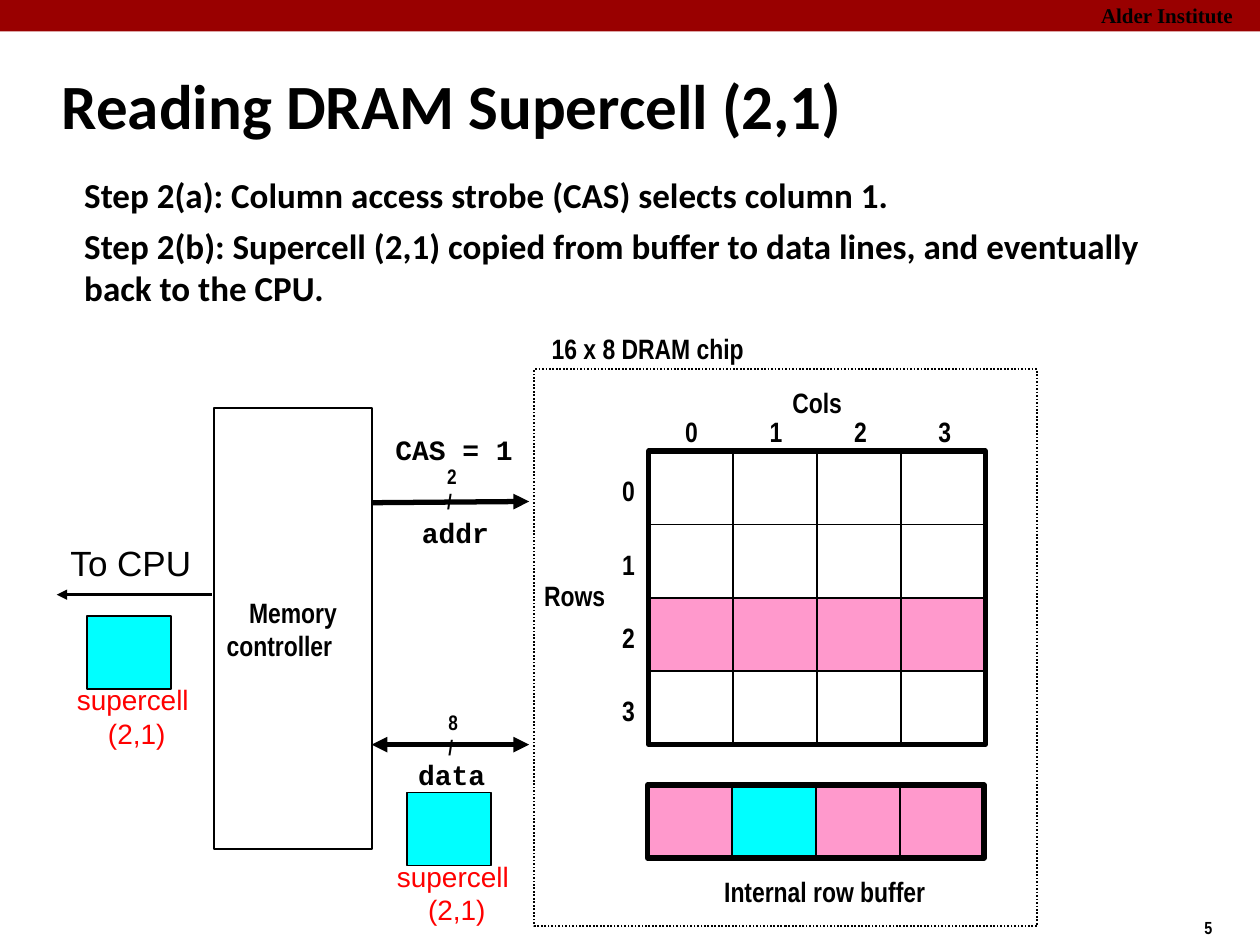
from dataclasses import dataclass, field
from typing import Optional

from lxml.etree import SubElement
from pptx import Presentation
from pptx.dml.color import RGBColor
from pptx.enum.dml import MSO_LINE
from pptx.enum.shapes import MSO_CONNECTOR, MSO_SHAPE
from pptx.enum.text import MSO_ANCHOR, MSO_AUTO_SIZE, PP_ALIGN
from pptx.oxml.ns import qn
from pptx.util import Inches, Pt


@dataclass(frozen=True)
class Style:
    font: str
    size: float
    bold: bool = True
    color: str = "000000"


@dataclass(frozen=True)
class Theme:
    ink: str = "000000"
    paper: str = "FFFFFF"
    banner: str = "990000"
    row: str = "FF99CC"
    cell: str = "00FFFF"
    thin: float = 1
    medium: float = 1.5
    thick: float = 3
    title: Style = Style("Calibri", 36)
    steps: Style = Style("Calibri", 20)
    label: Style = Style("Arial Narrow", 16)
    bits: Style = Style("Arial Narrow", 12)
    page: Style = Style("Arial Narrow", 10)
    signal: Style = Style("Courier New", 16)
    school: Style = Style("Times New Roman", 12)
    caption: Style = Style("Arial", 16, False, "FF0000")
    target: Style = Style("Arial", 20, False)


THEME = Theme()


@dataclass(frozen=True)
class Area:
    left: float
    top: float
    width: float
    height: float

    def lengths(self) -> list:
        return [Inches(v) for v in (self.left, self.top, self.width, self.height)]


@dataclass(frozen=True)
class Label:
    lines: tuple
    area: Area
    style: Style = field(default=THEME.label)
    align: PP_ALIGN = PP_ALIGN.LEFT
    inset: float = 0.1
    anchor: MSO_ANCHOR = MSO_ANCHOR.MIDDLE
    wrap: bool = False
    grow: bool = True
    before: float = 0


@dataclass(frozen=True)
class Arrow:
    start: tuple
    end: tuple
    weight: float
    ends: tuple = ("tailEnd",)


def apply(target, values: dict) -> None:
    for name, value in values.items():
        setattr(target, name, value)


def write(frame, label: Label) -> None:
    fit = MSO_AUTO_SIZE.SHAPE_TO_FIT_TEXT if label.grow else MSO_AUTO_SIZE.NONE
    apply(frame, {
        "word_wrap": label.wrap, "auto_size": fit, "vertical_anchor": label.anchor,
        "margin_left": Inches(label.inset), "margin_right": Inches(label.inset),
        "margin_top": Inches(0.05), "margin_bottom": Inches(0.05),
    })
    for index, line in enumerate(label.lines):
        paragraph = frame.add_paragraph() if index else frame.paragraphs[0]
        apply(paragraph, {"alignment": label.align, "space_before": Pt(label.before)})
        run = paragraph.add_run()
        run.text = line
        style = label.style
        apply(run.font, {"name": style.font, "size": Pt(style.size), "bold": style.bold})
        run.font.color.rgb = RGBColor.from_string(style.color)


def add_label(slide, label: Label) -> None:
    write(slide.shapes.add_textbox(*label.area.lengths()).text_frame, label)


def add_box(slide, area: Area, fill: Optional[str] = None, weight: float = THEME.thin):
    box = slide.shapes.add_shape(MSO_SHAPE.RECTANGLE, *area.lengths())
    box.shadow.inherit = False
    if fill:
        box.fill.solid()
        box.fill.fore_color.rgb = RGBColor.from_string(fill)
    else:
        box.fill.background()
    if weight:
        box.line.color.rgb = RGBColor.from_string(THEME.ink)
        box.line.width = Pt(weight)
    else:
        box.line.fill.background()
    return box


def add_cells(slide, area: Area, fills: list) -> None:
    """Draw a framed grid with one cell per colour."""
    width, height = area.width / len(fills[0]), area.height / len(fills)
    for row, colors in enumerate(fills):
        for col, color in enumerate(colors):
            corner = (area.left + col * width, area.top + row * height)
            add_box(slide, Area(*corner, width, height), color)
    add_box(slide, area, weight=THEME.thick)


def add_arrow(slide, arrow: Arrow) -> None:
    points = [Inches(v) for v in (*arrow.start, *arrow.end)]
    line = slide.shapes.add_connector(MSO_CONNECTOR.STRAIGHT, *points)
    line.line.color.rgb = RGBColor.from_string(THEME.ink)
    line.line.width = Pt(arrow.weight)
    outline = line.line._get_or_add_ln()
    for end in arrow.ends:
        SubElement(outline, qn(f"a:{end}")).set("type", "triangle")
    SubElement(line._element.spPr, qn("a:effectLst"))


def add_supercell(slide, left: float, top: float) -> None:
    caption = Area(left - 0.18, top + 0.48, 1.15, 0.63)
    add_label(slide, Label(("supercell ", "(2,1)"), caption, THEME.caption, PP_ALIGN.CENTER))
    add_box(slide, Area(left, top, 0.67, 0.58), THEME.cell)


def add_heading(slide) -> None:
    add_box(slide, Area(0, 0, 10, 0.25), THEME.banner, 0)
    top = {"anchor": MSO_ANCHOR.TOP, "wrap": True}
    add_label(slide, Label(("Alder Institute",), Area(8.64, -0.03, 1.43, 0.3), THEME.school, **top))
    add_label(slide, Label(("5",), Area(9.46, 7.23, 0.75, 0.27), THEME.page, **top))
    title = slide.shapes.title
    area = Area(0.39, 0.48, 8.3, 0.83)
    apply(title, dict(zip(("left", "top", "width", "height"), area.lengths())))
    write(title.text_frame, Label(("Reading DRAM Supercell (2,1)",), area, THEME.title, grow=False, **top))
    steps = (
        "Step 2(a): Column access strobe (CAS) selects column 1.",
        "Step 2(b): Supercell (2,1) copied from buffer to data lines, and eventually back to the CPU.",
    )
    add_label(slide, Label(steps, Area(0.57, 1.33, 8.85, 1.17), THEME.steps, grow=False, before=4.8, **top))


def add_chip(slide) -> None:
    chip = add_box(slide, Area(4.24, 2.93, 3.99, 4.42))
    chip.line.dash_style = MSO_LINE.ROUND_DOT
    plain, selected = [THEME.paper] * 4, [THEME.row] * 4
    add_cells(slide, Area(5.15, 3.58, 2.67, 2.33), [plain, plain, selected, plain])
    add_cells(slide, Area(5.14, 6.23, 2.67, 0.58), [[THEME.row, THEME.cell, THEME.row, THEME.row]])
    for index in range(4):
        add_label(slide, Label((str(index),), Area(5.34 + 0.67 * index, 3.24, 0.3, 0.37)))
        add_label(slide, Label((str(index),), Area(4.84, 3.71 + 0.58 * index, 0.3, 0.37)))
    for label in (
        Label(("16 x 8 DRAM chip",), Area(4.28, 2.58, 1.82, 0.37)),
        Label(("Cols",), Area(6.19, 3.01, 0.69, 0.37)),
        Label(("Rows",), Area(4.17, 4.54, 0.78, 0.37), align=PP_ALIGN.CENTER),
        Label(("Internal row buffer",), Area(5.6, 6.89, 1.89, 0.37), align=PP_ALIGN.CENTER),
    ):
        add_label(slide, label)


def add_controller(slide) -> None:
    area = Area(1.7, 3.24, 1.25, 3.5)
    controller = add_box(slide, area, THEME.paper).text_frame
    write(controller, Label(("Memory", "controller"), area, grow=False))
    controller.paragraphs[0].alignment = PP_ALIGN.CENTER
    for arrow in (
        Arrow((2.95, 3.99), (4.2, 3.98), THEME.thick),
        Arrow((2.95, 5.91), (4.2, 5.91), THEME.thick, ("headEnd", "tailEnd")),
        Arrow((1.68, 4.72), (0.45, 4.72), THEME.medium),
    ):
        add_arrow(slide, arrow)
    for label in (
        Label(("CAS = 1",), Area(3.04, 3.38, 1.13, 0.37), THEME.signal),
        Label(("addr",), Area(3.25, 4.04, 0.73, 0.37), THEME.signal),
        Label(("data",), Area(3.22, 5.96, 0.73, 0.37), THEME.signal),
        Label(("2", "/"), Area(3.45, 3.63, 0.27, 0.5), THEME.bits),
        Label(("8", "/"), Area(3.46, 5.58, 0.27, 0.5), THEME.bits),
        Label(("To CPU",), Area(0.51, 4.25, 1.06, 0.43), THEME.target, inset=0.05, anchor=MSO_ANCHOR.TOP),
    ):
        add_label(slide, label)
    add_supercell(slide, 3.23, 6.29)
    add_supercell(slide, 0.69, 4.89)


def main() -> None:
    deck = Presentation()
    apply(deck, {"slide_width": Inches(10), "slide_height": Inches(7.5)})
    slide = deck.slides.add_slide(deck.slide_layouts[5])
    add_heading(slide)
    add_chip(slide)
    add_controller(slide)
    deck.save("out.pptx")


if __name__ == "__main__":
    main()
